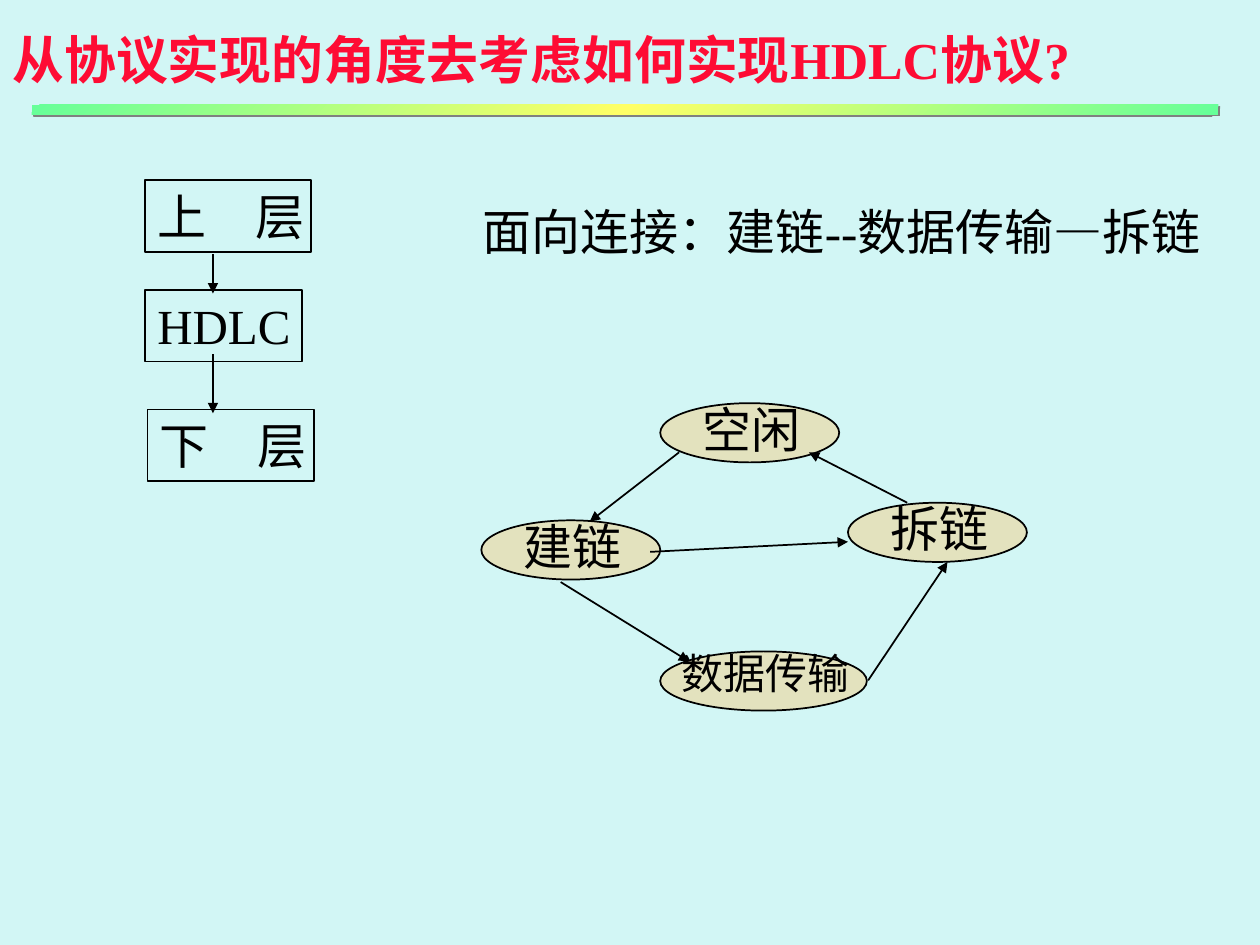
"""Builds a slide on implementing HDLC, with its layers and link states."""
from lxml.etree import SubElement
from pptx import Presentation
from pptx.dml.color import RGBColor
from pptx.enum.shapes import MSO_CONNECTOR, MSO_SHAPE
from pptx.enum.text import MSO_ANCHOR, PP_ALIGN
from pptx.oxml import parse_xml
from pptx.oxml.ns import nsdecls, qn
from pptx.util import Inches, Pt

BLACK = "000000"
BODY = {"name": "Times New Roman", "size": Pt(28), "bold": False}
SMALL = {**BODY, "size": Pt(24)}
TITLE = {**BODY, "size": Pt(29.6), "bold": True}


def paint(color_format, color):
    color_format.rgb = RGBColor.from_string(color)


def write_text(box, text, font_format=BODY, color=BLACK, wrap=False):
    frame = box.text_frame
    frame.word_wrap = wrap
    frame.vertical_anchor = MSO_ANCHOR.TOP
    para = frame.paragraphs[0]
    para.alignment = PP_ALIGN.LEFT
    span = para.add_run()
    span.text = text
    for name, value in font_format.items():
        setattr(span.font, name, value)
    paint(span.font.color, color)
    return para


deck = Presentation()
deck.slide_width, deck.slide_height = Inches(10), Inches(7.5)
page = deck.slides.add_slide(deck.slide_layouts[6])
page.background.fill.solid()
paint(page.background.fill.fore_color, "D2F6F5")

title = page.shapes.add_textbox(0, 0, Inches(9.45), Inches(1.08))
title_para = write_text(title, "从协议实现的角度去考虑如何实现HDLC协议?", TITLE, "FE0C34", True)
title_para.line_spacing = 1.35

bar = page.shapes.add_shape(
    MSO_SHAPE.RECTANGLE, Inches(0.25), Inches(0.83), Inches(9.42), Inches(0.08))
bar_styles = (
    '<a:gradFill {}><a:gsLst>'
    '<a:gs pos="0"><a:srgbClr val="66FF99"/></a:gs>'
    '<a:gs pos="50000"><a:srgbClr val="FFFF66"/></a:gs>'
    '<a:gs pos="100000"><a:srgbClr val="66FF99"/></a:gs>'
    '</a:gsLst><a:lin ang="2700000" scaled="1"/></a:gradFill>',
    '<a:ln {}><a:noFill/></a:ln>',
    '<a:effectLst {}><a:outerShdw dist="17780" dir="2700000">'
    '<a:srgbClr val="808080"/></a:outerShdw></a:effectLst>',
)
for style in bar_styles:
    bar.element.spPr.append(parse_xml(style.format(nsdecls("a"))))

layers = [
    ("上　层", 1.15, 1.43, 1.32),
    ("HDLC", 1.15, 2.3, 1.25),
    ("下　层", 1.17, 3.25, 1.32),
]
for text, left, top, width in layers:
    layer = page.shapes.add_shape(
        MSO_SHAPE.RECTANGLE, Inches(left), Inches(top), Inches(width), Inches(0.57))
    layer.shadow.inherit = False
    layer.fill.background()
    layer.line.width = Pt(1)
    paint(layer.line.color, BLACK)
    write_text(layer, text)

summary = page.shapes.add_textbox(Inches(3.73), Inches(1.55), Inches(6.08), Inches(0.57))
write_text(summary, "面向连接：建链--数据传输—拆链")

states = [
    ("空闲", 5.24, 3.2, 1.42, 0.24, 1, BODY),
    ("建链", 3.82, 4.13, 1.42, 0.24, 1, BODY),
    ("拆链", 6.73, 3.99, 1.42, 0.24, 1, BODY),
    ("数据传输", 5.24, 5.17, 1.64, 0.07, 1.65, SMALL),
]
for text, left, top, width, indent, label_width, font_format in states:
    state = page.shapes.add_shape(
        MSO_SHAPE.OVAL, Inches(left), Inches(top), Inches(width), Inches(0.47))
    state.shadow.inherit = False
    state.fill.solid()
    paint(state.fill.fore_color, "E3E2BE")
    state.line.width = Pt(1)
    paint(state.line.color, BLACK)
    label = page.shapes.add_textbox(
        Inches(left + indent), Inches(top - 0.08), Inches(label_width), Inches(0.57))
    write_text(label, text, font_format)

arrows = [
    (1.69, 2.02, 1.69, 2.33),
    (1.69, 2.81, 1.69, 3.28),
    (5.39, 3.59, 4.68, 4.14),
    (4.45, 4.62, 5.47, 5.25),
    (5.16, 4.38, 6.73, 4.3),
    (6.89, 5.4, 7.52, 4.46),
    (7.2, 3.99, 6.42, 3.59),
]
for ends in arrows:
    arrow = page.shapes.add_connector(MSO_CONNECTOR.STRAIGHT, *map(Inches, ends))
    arrow.line.width = Pt(1)
    paint(arrow.line.color, BLACK)
    SubElement(arrow.element.spPr.find(qn("a:ln")), qn("a:tailEnd"), type="triangle")
    SubElement(arrow.element.spPr, qn("a:effectLst"))

deck.save("out.pptx")
